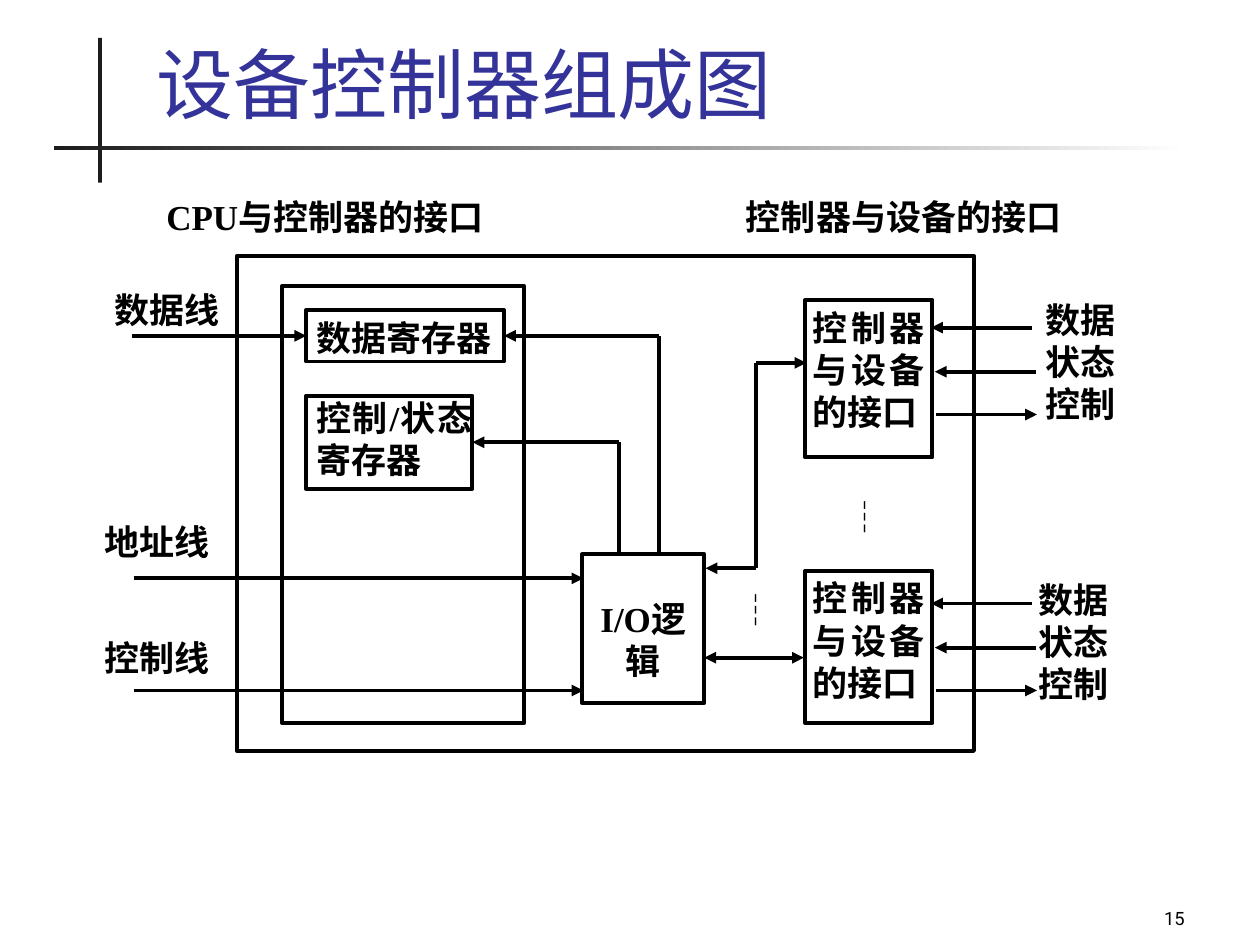
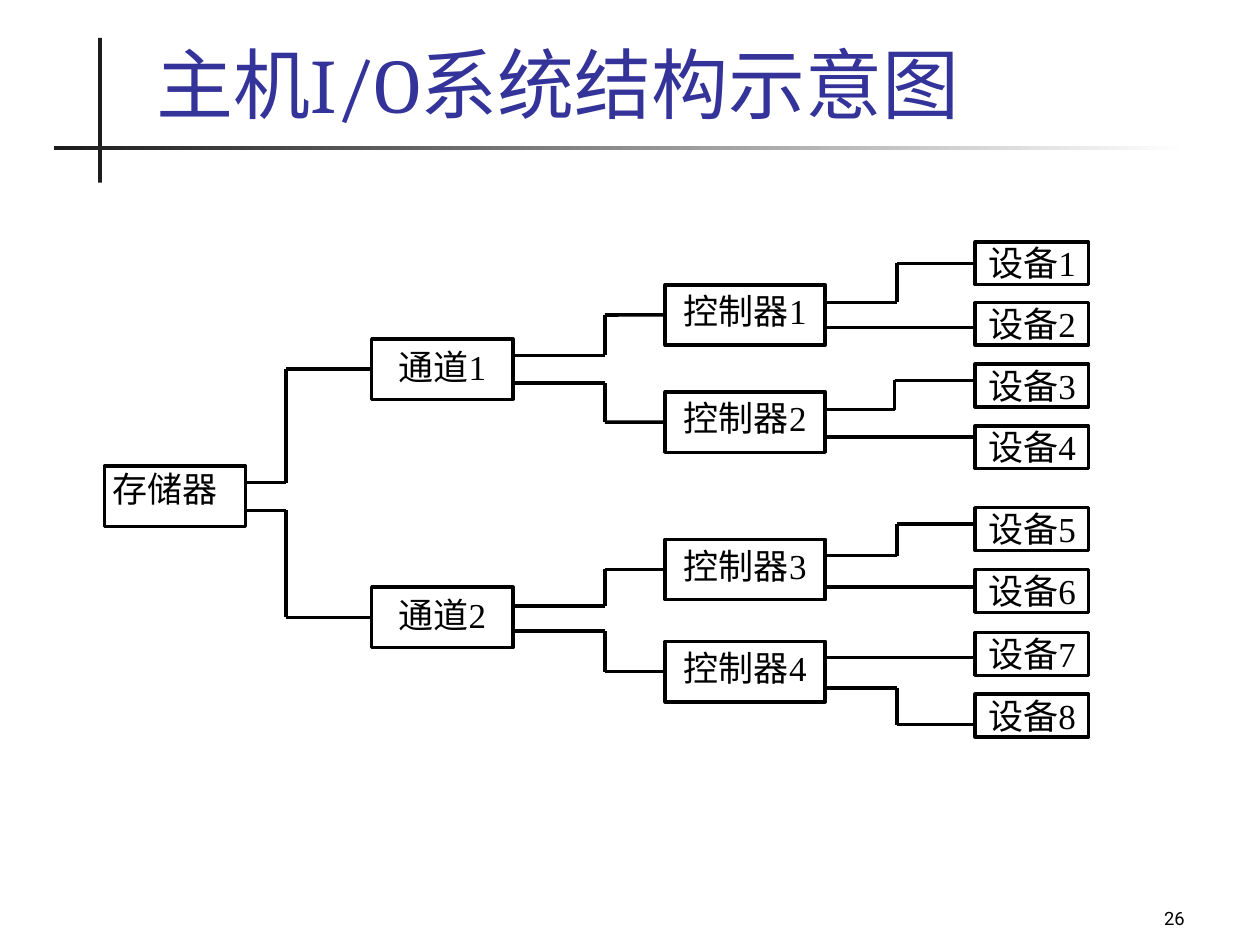
from pptx import Presentation
from pptx.dml.color import RGBColor
from pptx.enum import shapes, text
from pptx.oxml import ns, xmlchemy
from pptx.util import Inches, Pt

INK = RGBColor(0x1C, 0x1C, 0x1C)
BLACK = RGBColor(0, 0, 0)
WHITE = RGBColor(0xFF, 0xFF, 0xFF)
TITLE_BLUE = RGBColor(0x33, 0x33, 0x99)
BODY_FONT, TITLE_FONT = "Times New Roman", "Cambria"
NUMBER_FONT, DASH_FONT = "Roboto", "Noto Sans CJK SC"
LEFT, CENTER, RIGHT, JUSTIFY = (text.PP_ALIGN.LEFT, text.PP_ALIGN.CENTER,
                                text.PP_ALIGN.RIGHT, text.PP_ALIGN.JUSTIFY)
TOP, BOTTOM = text.MSO_ANCHOR.TOP, text.MSO_ANCHOR.BOTTOM
DEFAULT_INSETS = (0.1, 0.05, 0.1, 0.05)
LEFT_SIDE, RIGHT_SIDE = 1, 3


def add_box(s, at, words="", border=None, insets=(0, 0, 0, 0), align=JUSTIFY,
            anchor=TOP, size=20, font=BODY_FONT, color=BLACK, bold=False):
    """Add a text box, or a white rectangle when a border width is given."""
    pos = [Inches(v) for v in at]
    if border:
        sp = s.shapes.add_shape(shapes.MSO_SHAPE.RECTANGLE, *pos)
        sp.shadow.inherit = False
        sp.fill.solid()
        sp.fill.fore_color.rgb = WHITE
        sp.line.color.rgb = BLACK
        sp.line.width = Pt(border)
    else:
        sp = s.shapes.add_textbox(*pos)
    tf = sp.text_frame
    tf.word_wrap = True
    tf.vertical_anchor = anchor
    tf.margin_left, tf.margin_top, tf.margin_right, tf.margin_bottom = map(Inches, insets)
    tf.text = words
    for p in tf.paragraphs:
        p.alignment = align
        for r in p.runs:
            r.font.size, r.font.name, r.font.bold = Pt(size), font, bold
            r.font.color.rgb = color
    return sp


def add_route(s, points, width, head=False, tail=False, end=None):
    """Draw straight lines through points; end is (shape, side) to join."""
    last = len(points) - 2
    for i, (a, b) in enumerate(zip(points, points[1:])):
        c = s.shapes.add_connector(shapes.MSO_CONNECTOR.STRAIGHT,
                                   *[Inches(v) for v in a + b])
        c.line.color.rgb = BLACK
        c.line.width = Pt(width)
        ln = c.line._get_or_add_ln()
        if head and i == 0:
            xmlchemy.OxmlElement("a:headEnd")
            ln.append(ln.makeelement(ns.qn("a:headEnd"), {"type": "triangle"}))
        if tail and i == last:
            ln.append(ln.makeelement(ns.qn("a:tailEnd"), {"type": "triangle"}))
        c._element.spPr.append(xmlchemy.OxmlElement("a:effectLst"))
        if end and i == last:
            c.end_connect(*end)


prs = Presentation()
prs.slide_width, prs.slide_height = Inches(10), Inches(7.5)

# Shared frame: crossed bars, title and page number
slides = []
for title, number in (("设备控制器组成图", "15"), ("主机I/O系统结构示意图", "26")):
    s = prs.slides.add_slide(prs.slide_layouts[6])
    for at in ((0.78, 0.3, 0.03, 1.15), (0.43, 1.16, 9, 0.03)):
        bar = s.shapes.add_shape(shapes.MSO_SHAPE.RECTANGLE, *[Inches(v) for v in at])
        bar.shadow.inherit = False
        bar.line.fill.background()
        bar.fill.solid()
        bar.fill.fore_color.rgb = INK
    bar.fill.gradient()
    bar.fill.gradient_angle = 0
    for stop, color, place in zip(bar.fill.gradient_stops, (INK, WHITE), (0, 1)):
        stop.color.rgb = color
        stop.position = place
    add_box(s, (1.14, 0.25, 8.59, 0.82), title, insets=DEFAULT_INSETS, align=LEFT,
            anchor=BOTTOM, size=44, font=TITLE_FONT, color=TITLE_BLUE)
    add_box(s, (7.42, 6.92, 2.08, 0.5), number, insets=DEFAULT_INSETS, align=RIGHT,
            anchor=BOTTOM, size=10.5, font=NUMBER_FONT)
    slides.append(s)

# Slide 1: parts of a device controller
s = slides[0]
LINE = 2.25
for at in ((1.88, 2.03, 5.85, 3.93), (2.24, 2.27, 1.92, 3.47)):
    add_box(s, at, border=LINE)

data_register = add_box(s, (2.43, 2.46, 1.57, 0.41), "数据寄存器", LINE,
                        (0.08, 0.05, 0, 0.01), bold=True)
status_register = add_box(s, (2.43, 3.14, 1.32, 0.74), "控制/状态寄存器", LINE,
                          (0.08, 0.01, 0, 0.01), bold=True)
add_box(s, (4.62, 4.4, 0.97, 1.18), "I/O逻辑", LINE, (0.02, 0.34, 0.02, 0.01),
        CENTER, bold=True)
for top, height in ((2.38, 1.25), (4.53, 1.21)):
    add_box(s, (6.39, top, 1.01, height), "控制器与设备的接口", LINE,
            (0.06, 0.05, 0.06, 0.05), bold=True)

for at, label in (
    ((1.32, 1.55, 2.6, 0.34), "CPU与控制器的接口"),
    ((5.92, 1.55, 2.58, 0.34), "控制器与设备的接口"),
    ((0.91, 2.29, 1.01, 0.34), "数据线"),
    ((0.83, 4.13, 1.01, 0.34), "地址线"),
    ((0.83, 5.05, 1.01, 0.34), "控制线"),
    ((8.3, 2.37, 0.65, 1.05), "数据\n状态\n控制"),
    ((8.24, 4.59, 0.65, 1.05), "数据\n状态\n控制"),
):
    add_box(s, at, label, bold=True)
for x, y in ((6.63, 3.88), (5.76, 4.62)):
    add_box(s, (x, y, 0.48, 0.48), "┆", insets=DEFAULT_INSETS, font=DASH_FONT)

for y in (2.6, 4.79):
    add_route(s, [(8.19, y), (7.39, y)], LINE, tail=True)
    add_route(s, [(8.22, y + 0.35), (7.42, y + 0.35)], LINE, tail=True)
    add_route(s, [(7.43, y + 0.69), (8.23, y + 0.69)], LINE, tail=True)
for y in (4.59, 5.48):
    add_route(s, [(1.06, y), (4.63, y)], LINE, tail=True)

data_y, status_y = 2.665, 3.51
add_route(s, [(1.05, data_y), (2.43, data_y)], LINE, tail=True,
          end=(data_register, LEFT_SIDE))
add_route(s, [(5.23, 4.4), (5.23, data_y), (4, data_y)], LINE, tail=True,
          end=(data_register, RIGHT_SIDE))
add_route(s, [(4.91, 4.4), (4.91, status_y), (3.75, status_y)], LINE, tail=True,
          end=(status_register, RIGHT_SIDE))
add_route(s, [(5.6, 4.51), (6, 4.51), (6, 2.88), (6.4, 2.88)], LINE, head=True, tail=True)
add_route(s, [(6.38, 5.22), (5.59, 5.22)], LINE, head=True, tail=True)

# Slide 2: memory, channels, controllers and devices as a tree
s = slides[1]
LINE = 2
columns = (
    ("存储器", 0.83, 1.12, 0.48, 0.01, (3.7,)),
    ("通道", 2.95, 1.12, 0.48, 0.05, (2.69, 4.66)),
    ("控制器", 5.28, 1.27, 0.48, 0.04, (2.26, 3.11, 4.28, 5.09)),
    ("设备", 7.74, 0.9, 0.34, 0, (1.92, 2.4, 2.89, 3.38, 4.03, 4.52, 5.02, 5.51)),
)
nodes = {}
for name, x, width, height, inset, tops in columns:
    for i, top in enumerate(tops, 1):
        single = len(tops) == 1
        label = name if single else f"{name}{i}"
        sp = add_box(s, (x, top, width, height), label, LINE, (0.06, inset, 0.06, 0),
                     JUSTIFY if single else CENTER)
        nodes[label] = (sp, x, x + width, top + height / 2)

# parent, height of its exit, x of the bend, child, height of the entry
# (None: the middle of the child's side)
links = (
    ("存储器", 3.83, 2.27, "通道1", None), ("存储器", 4.05, 2.27, "通道2", None),
    ("通道1", 2.82, 4.8, "控制器1", None), ("通道1", 3.04, 4.8, "控制器2", None),
    ("通道2", 4.81, 4.8, "控制器3", None), ("通道2", 5.01, 4.8, "控制器4", None),
    ("控制器1", 2.4, 7.12, "设备1", None), ("控制器1", 2.6, None, "设备2", 2.6),
    ("控制器2", 3.25, 7.1, "设备3", 3.02), ("控制器2", 3.47, None, "设备4", 3.47),
    ("控制器3", 4.41, 7.12, "设备5", 4.16), ("控制器3", 4.66, None, "设备6", 4.66),
    ("控制器4", 5.22, None, "设备7", 5.22), ("控制器4", 5.46, 7.12, "设备8", 5.75),
)
for parent, exit_y, bend, child, entry_y in links:
    start_x = nodes[parent][2]
    sp, end_x, _, middle = nodes[child]
    y = middle if entry_y is None else entry_y
    corners = [(bend, exit_y), (bend, y)] if bend else []
    add_route(s, [(start_x, exit_y), *corners, (end_x, y)], LINE,
              end=(sp, LEFT_SIDE) if entry_y is None else None)
add_route(s, [(8.02, 2.89), (8.61, 2.89)], LINE)

prs.save("out.pptx")
